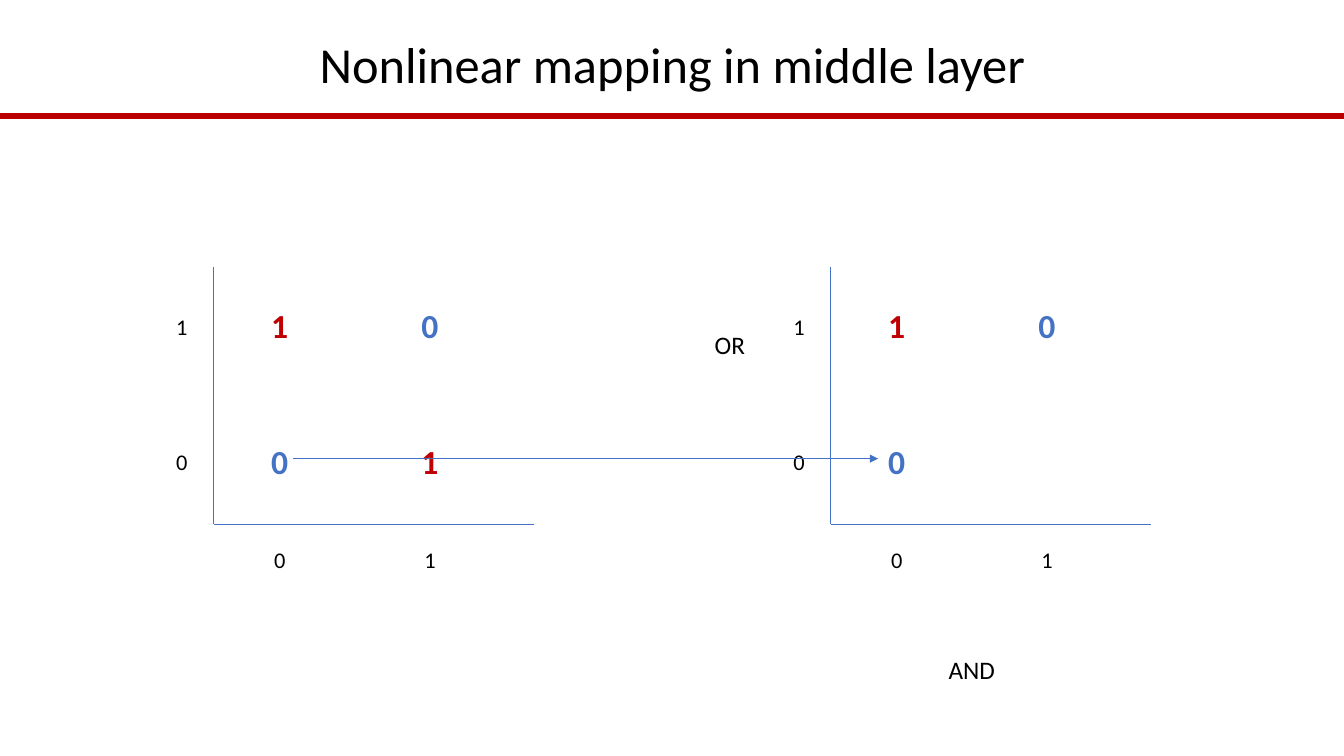
from lxml.etree import SubElement
from pptx import Presentation
from pptx.dml.color import RGBColor
from pptx.enum.shapes import MSO_CONNECTOR
from pptx.enum.text import MSO_ANCHOR, MSO_AUTO_SIZE, PP_ALIGN
from pptx.oxml.ns import qn
from pptx.util import Pt

PX = 9144  # 100 px to the inch
BLACK, RED, BLUE = "000000", "C00000", "4472C4"


def add_label(shapes, text, x, y, w, h, size, color=BLACK, bold=False):
    tb = shapes.add_textbox(x * PX, y * PX, w * PX, h * PX)
    tf = tb.text_frame
    tf.word_wrap = False
    tf.auto_size = MSO_AUTO_SIZE.SHAPE_TO_FIT_TEXT
    p = tf.paragraphs[0]
    p.text = text
    p.font.name, p.font.size, p.font.bold = "Calibri", Pt(size), bold
    p.font.color.rgb = RGBColor.from_string(color)
    return tb


def add_line(shapes, x1, y1, x2, y2, color=BLUE, width=0.5):
    line = shapes.add_connector(MSO_CONNECTOR.STRAIGHT, x1 * PX, y1 * PX, x2 * PX, y2 * PX)
    line.line.color.rgb = RGBColor.from_string(color)
    line.line.width = Pt(width)
    SubElement(line._element.spPr, qn("a:effectLst"))
    return line


prs = Presentation()
prs.slide_width, prs.slide_height = 1333 * PX, 750 * PX
s = prs.slides.add_slide(prs.slide_layouts[5])
add_line(s.shapes, 0, 115, 1333, 115, "BB0000", 4)

title = s.shapes.title
title.left, title.top, title.width, title.height = 92 * PX, 34 * PX, 1150 * PX, 66 * PX
tf = title.text_frame
tf.vertical_anchor = MSO_ANCHOR.MIDDLE
p = tf.paragraphs[0]
p.text = "Nonlinear mapping in middle layer"
p.alignment = PP_ALIGN.CENTER
p.line_spacing = 0.9
p.font.name, p.font.size = "Calibri", Pt(36)
p.font.color.rgb = RGBColor.from_string(BLACK)

# Points are (column, row, class); the mapped plot has lost the point (1, 0)
xor_points = [(0, 1, "1"), (1, 1, "0"), (1, 0, "1"), (0, 0, "0")]
mapped_points = [(0, 1, "1"), (1, 1, "0"), (0, 0, "0")]
origins = []
for axis_x, points in [(212, xor_points), (824, mapped_points)]:
    plot = s.shapes.add_group_shape().shapes
    add_line(plot, axis_x, 265, axis_x, 520)
    add_line(plot, axis_x, 520, axis_x + 318, 520)
    for col, row, value in points:
        color = RED if value == "1" else BLUE
        point = add_label(plot, value, axis_x + 47 + 149 * col, 433 - 135 * row,
                          32, 44, 24, color, True)
        if (col, row) == (0, 0):
            origins.append(point)
    for tick in (0, 1):
        add_label(plot, str(tick), axis_x + 50 + 149 * tick, 537, 27, 32, 16)
        add_label(plot, str(tick), axis_x - 47, 440 - 134 * tick, 27, 32, 16)

add_label(s.shapes, "AND", 931, 644, 67, 40, 18)
add_label(s.shapes, "OR", 699, 322, 51, 40, 18)

arrow = add_line(s.shapes, 291, 455, 871, 455)
arrow.begin_connect(origins[0], 3)
arrow.end_connect(origins[1], 1)
SubElement(arrow.line._get_or_add_ln(), qn("a:tailEnd"), type="triangle")

prs.save("out.pptx")
